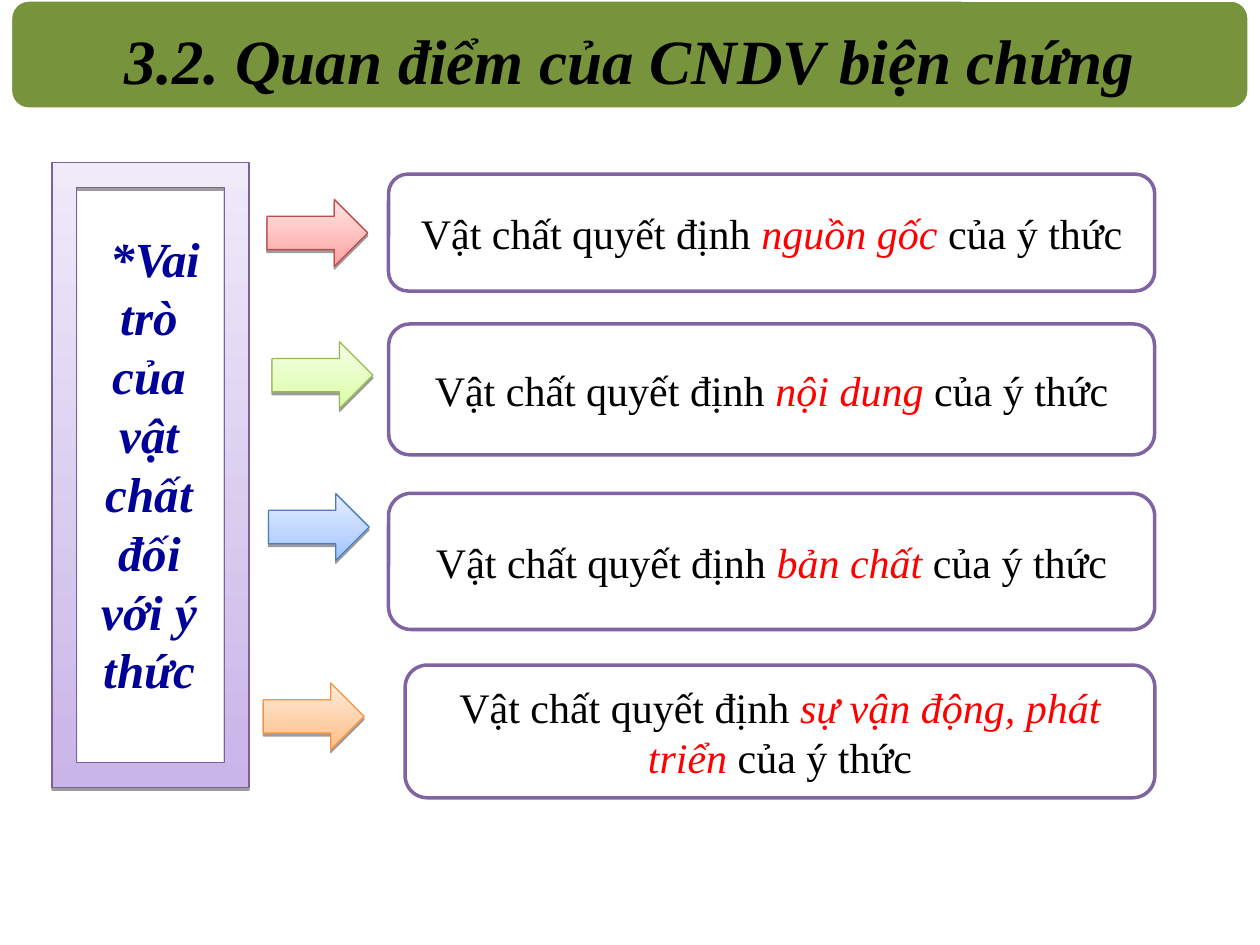
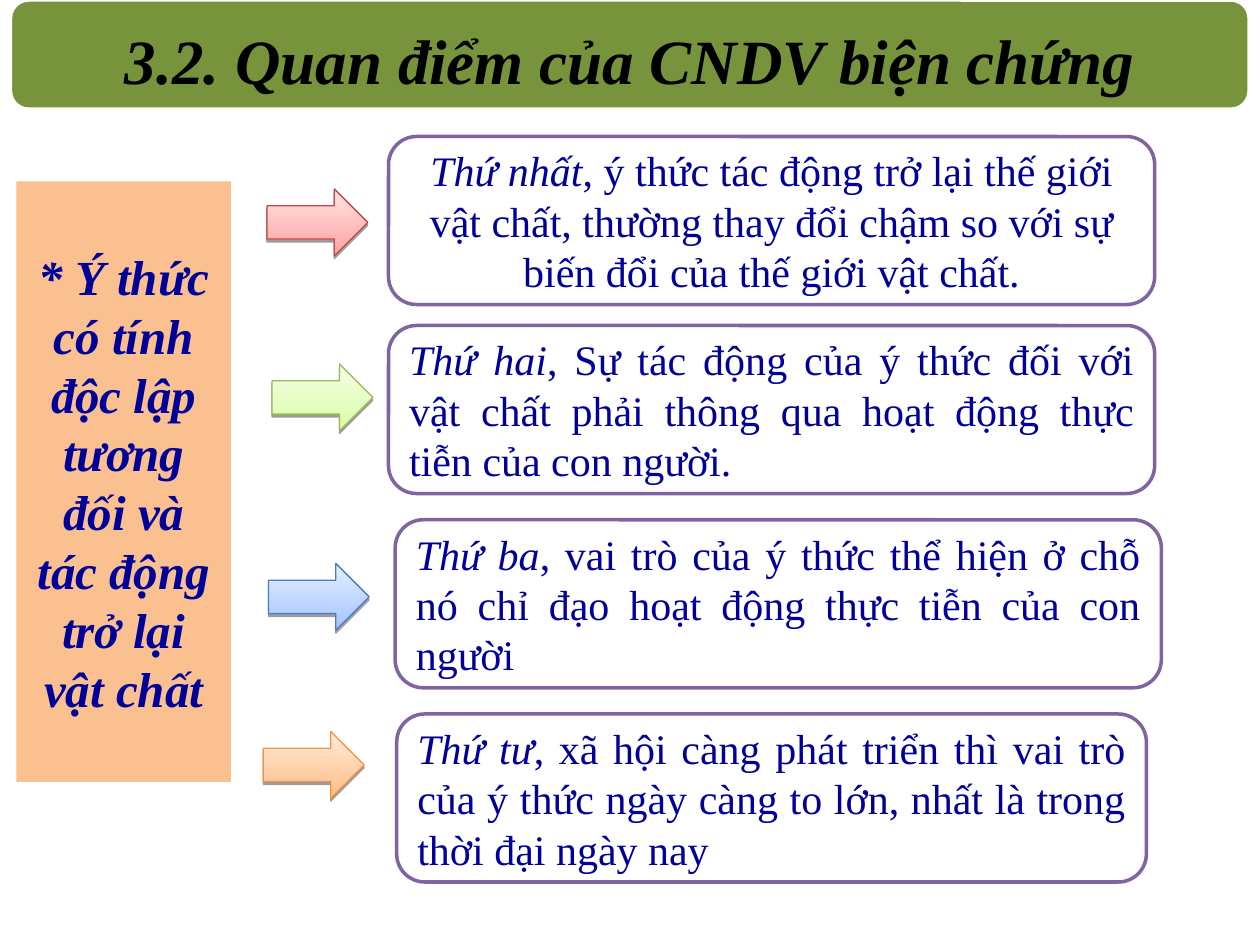
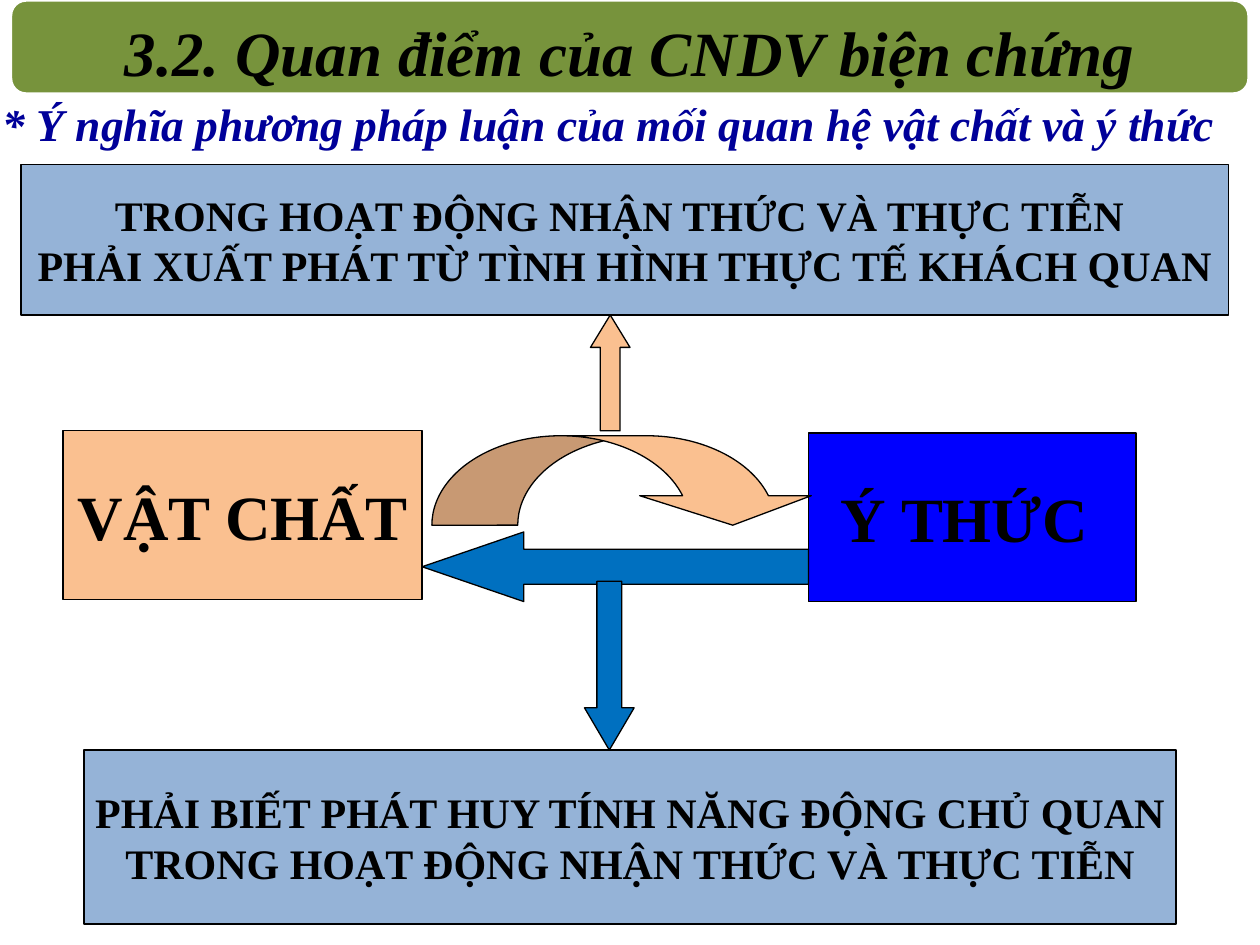
import pptx
import pptx.dml.color
import pptx.enum.shapes
import pptx.enum.text
import pptx.oxml
import pptx.oxml.ns
import pptx.util

Pt = pptx.util.Pt
RGBColor = pptx.dml.color.RGBColor
SHAPE = pptx.enum.shapes.MSO_SHAPE
ALIGN = pptx.enum.text.PP_ALIGN
ANCHOR = pptx.enum.text.MSO_ANCHOR
qn = pptx.oxml.ns.qn

BLACK = RGBColor(0x00, 0x00, 0x00)
WHITE = RGBColor(0xFF, 0xFF, 0xFF)
RED = RGBColor(0xFF, 0x00, 0x00)
NAVY = RGBColor(0x00, 0x00, 0x99)
GREEN = RGBColor(0x77, 0x93, 0x3C)
PURPLE = RGBColor(0x80, 0x64, 0xA2)
PEACH = RGBColor(0xFA, 0xC0, 0x90)
PALE_BLUE = RGBColor(0x95, 0xB3, 0xD7)
BLUE = RGBColor(0x00, 0x70, 0xC0)
PURE_BLUE = RGBColor(0x00, 0x00, 0xFF)
FRAME_LINE = RGBColor(0x7D, 0x60, 0xA0)
FRAME_FILL = (RGBColor(0xC9, 0xB5, 0xE8), RGBColor(0xF0, 0xEA, 0xF9))
# Bottom colour, top colour and outline of each arrow, from the first row down
ARROW_COLOURS = [
    (RGBColor(0xFF, 0xA2, 0xA1), RGBColor(0xFF, 0xE5, 0xE5), RGBColor(0xBE, 0x4B, 0x48)),
    (RGBColor(0xDA, 0xFD, 0xA7), RGBColor(0xF5, 0xFF, 0xE6), RGBColor(0x98, 0xB9, 0x54)),
    (RGBColor(0xA3, 0xC4, 0xFF), RGBColor(0xE5, 0xEE, 0xFF), RGBColor(0x4A, 0x7E, 0xBB)),
    (RGBColor(0xFF, 0xBE, 0x86), RGBColor(0xFF, 0xEB, 0xDB), RGBColor(0xF6, 0x92, 0x40)),
]
ARROW_LEFTS = (2.1, 5, 2.9, 0)
ARROW_SIZE = (57.6, 38.2)

FONT = "Times New Roman"
TITLE = "3.2. Quan điểm của CNDV biện chứng"
TITLE_FORMAT = {"size": Pt(36), "bold": True, "italic": True}
SIDE_FORMAT = {"size": Pt(28), "bold": True, "italic": True, "color": NAVY}
POINT_FORMAT = {"size": Pt(24)}
RULE_FORMAT = {"size": Pt(24), "bold": True}
CONCEPT_FORMAT = {"size": Pt(36), "bold": True}
SUBTITLE_FORMAT = {"size": Pt(26), "bold": True, "italic": True, "color": NAVY}


def set_text(shape, lines, text_format, align=ALIGN.CENTER, anchor=ANCHOR.MIDDLE,
             wrap=True, margins=(7.2, 3.6, 7.2, 3.6)):
    """Write lines, each a list of (text, format changes) runs."""
    frame = shape.text_frame
    frame.word_wrap = wrap
    frame.auto_size = pptx.enum.text.MSO_AUTO_SIZE.NONE
    frame.vertical_anchor = anchor
    for side, margin in zip(("left", "top", "right", "bottom"), margins):
        setattr(frame, f"margin_{side}", Pt(margin))
    for index, runs in enumerate(lines):
        paragraph = frame.paragraphs[0] if index == 0 else frame.add_paragraph()
        paragraph.alignment = align
        for text, changes in runs:
            run = paragraph.add_run()
            run.text = text
            values = {"name": FONT, "color": BLACK, **text_format, **changes}
            run.font.color.rgb = values.pop("color")
            for name, value in values.items():
                setattr(run.font, name, value)


def add_box(slide, kind, box, fill, line=None, line_width=0.75, adjustments=()):
    """Add a preset shape; a pair of fill colours runs from bottom to top."""
    shape = slide.shapes.add_shape(kind, *map(Pt, box))
    shape.shadow.inherit = False
    for index, value in enumerate(adjustments):
        shape.adjustments[index] = value
    if isinstance(fill, RGBColor):
        shape.fill.solid()
        shape.fill.fore_color.rgb = fill
    else:
        shape.fill.gradient()
        shape.fill.gradient_angle = 90
        for stop, colour in zip(shape.fill.gradient_stops, fill):
            stop.color.rgb = colour
    if line is None:
        shape.line.fill.background()
    else:
        shape.line.color.rgb = line
        shape.line.width = Pt(line_width)
    return shape


def add_shadow(shape):
    effects = shape.element.spPr.find(qn("a:effectLst"))
    effects.append(pptx.oxml.parse_xml(
        f'<a:outerShdw {pptx.oxml.ns.nsdecls("a")} blurRad="0" dist="{Pt(1.6)}" '
        'dir="5400000" rotWithShape="0"><a:srgbClr val="000000">'
        '<a:alpha val="38000"/></a:srgbClr></a:outerShdw>'))


def add_title_band(slide, height):
    box = (6, 0, 707.8, height)
    add_box(slide, SHAPE.ROUNDED_RECTANGLE, box, GREEN, WHITE, 2)
    title = slide.shapes.title
    for name, value in zip(("left", "top", "width", "height"), box):
        setattr(title, name, Pt(value))
    set_text(title, [[(TITLE, {})]], TITLE_FORMAT, margins=(17, 5, 17, 0))
    title.text_frame.paragraphs[0].line_spacing = 1.0
    title.element.getparent().append(title.element)  # bring in front of the band


def add_points(slide, left, top, points):
    """Add rows of (arrow top, box, runs, alignment), relative to left and top."""
    for colours, arrow_left, (arrow_top, box, runs, align) in zip(
            ARROW_COLOURS, ARROW_LEFTS, points):
        arrow_box = (left + arrow_left, top + arrow_top, *ARROW_SIZE)
        add_shadow(add_box(slide, SHAPE.RIGHT_ARROW, arrow_box, colours[:2], colours[2]))
        x, y, width, height = box
        card = add_box(slide, SHAPE.ROUNDED_RECTANGLE, (left + x, top + y, width, height),
                       WHITE, PURPLE, 2)
        set_text(card, [runs], POINT_FORMAT, align)


def add_side_frame(slide, box, text):
    left, top, width, _ = box
    add_shadow(add_box(slide, SHAPE.FRAME, box, FRAME_FILL, FRAME_LINE, adjustments=[0.125]))
    label = slide.shapes.add_textbox(Pt(left + 10.8), Pt(top + 33.8), Pt(width - 22.8), Pt(276.5))
    set_text(label, [[(text, {})]], SIDE_FORMAT, anchor=ANCHOR.TOP)


def build_matter_slide(slide):
    add_title_band(slide, 62.4)
    add_side_frame(slide, (29.7, 93, 112.6, 357), " *Vai trò của vật chất đối với ý thức")
    rows = [
        (14.5, (71.5, 0, 437.8, 66.8), "nguồn gốc"),
        (95.8, (71.5, 85.6, 437.8, 74.9), "nội dung"),
        (182.6, (71.5, 182.4, 437.8, 77.8), "bản chất"),
        (290.8, (81, 280.6, 428.4, 75.8), "sự vận động, phát triển"),
    ]
    add_points(slide, 150.5, 99.5, [
        (arrow_top, box, [("Vật chất quyết định ", {}),
                          (aspect, {"color": RED, "italic": True}),
                          (" của ý thức", {})], ALIGN.CENTER)
        for arrow_top, box, aspect in rows])


def build_consciousness_slide(slide):
    add_title_band(slide, 62.4)
    panel = add_box(slide, SHAPE.RECTANGLE, (9.4, 103.6, 122.6, 343.2), PEACH)
    set_text(panel, [[("* Ý thức có tính độc lập tương đối và tác động trở lại vật chất", {})]],
             SIDE_FORMAT, anchor=ANCHOR.TOP, margins=(7.2, 37.2, 7.2, 3.6))
    rows = [
        (24, (71.5, -6, 437.8, 96), "Thứ nhất",
         ", ý thức tác động trở lại thế giới vật chất, thường thay đổi chậm so với sự "
         "biến đổi của thế giới vật chất.", ALIGN.CENTER),
        (124, (71.5, 102, 437.8, 96), "Thứ hai",
         ", Sự tác động của ý thức đối với vật chất phải thông qua hoạt động thực tiễn "
         "của con người.", ALIGN.JUSTIFY),
        (238, (75.3, 213, 437.8, 96), "Thứ ba",
         ", vai trò của ý thức thể hiện ở chỗ nó chỉ đạo hoạt động thực tiễn của con người",
         ALIGN.JUSTIFY),
        (334, (76.2, 324, 428.4, 96), "Thứ tư",
         ", xã hội càng phát triển thì vai trò của ý thức ngày càng to lớn, nhất là trong "
         "thời đại ngày nay", ALIGN.JUSTIFY),
    ]
    add_points(slide, 150.5, 84, [
        (arrow_top, box, [(order, {"color": NAVY, "italic": True}), (text, {"color": NAVY})], align)
        for arrow_top, box, order, text, align in rows])


def add_relation(slide, left, top):
    """Draw the two concepts, the arrows between them and those to the rules."""
    labelled = [
        ((24, 152, 205.2, 96.5), PEACH, CONCEPT_FORMAT, ["VẬT CHẤT"]),
        ((450, 153.2, 187.2, 96.5), PURE_BLUE, CONCEPT_FORMAT, ["Ý THỨC "]),
        ((0, 0, 690, 85.8), PALE_BLUE, RULE_FORMAT,
         ["TRONG HOẠT ĐỘNG NHẬN THỨC VÀ THỰC TIỄN ",
          "PHẢI XUẤT PHÁT TỪ TÌNH HÌNH THỰC TẾ KHÁCH QUAN"]),
        ((36, 334.4, 624, 99.4), PALE_BLUE, RULE_FORMAT,
         ["PHẢI BIẾT PHÁT HUY TÍNH NĂNG ĐỘNG CHỦ QUAN",
          "TRONG HOẠT ĐỘNG NHẬN THỨC VÀ THỰC TIỄN"]),
    ]
    for (x, y, width, height), fill, text_format, lines in labelled:
        box = add_box(slide, SHAPE.RECTANGLE, (left + x, top + y, width, height), fill, BLACK)
        set_text(box, [[(line, {})] for line in lines], text_format, wrap=False)
    arrows = [
        (SHAPE.CURVED_DOWN_ARROW, (234.8, 154.8, 221, 51.1), PEACH, (0.96, 1.92, 0.33)),
        (SHAPE.LEFT_ARROW, (229.2, 209.8, 220.8, 39.8), BLUE, (0.5, 1.46)),
        (SHAPE.UP_ARROW, (325.4, 85.8, 22.6, 66.2), PEACH, (0.5, 0.82)),
        (SHAPE.DOWN_ARROW, (322, 238, 28.4, 96.4), BLUE, (0.5, 0.85)),
    ]
    for kind, (x, y, width, height), fill, adjustments in arrows:
        add_box(slide, kind, (left + x, top + y, width, height), fill, BLACK,
                adjustments=adjustments)


def build_method_slide(slide):
    add_relation(slide, 12, 94.2)
    subtitle = slide.shapes.add_textbox(Pt(0), Pt(51.4), Pt(720), Pt(38.9))
    set_text(subtitle, [[("* Ý nghĩa phương pháp luận của mối quan hệ vật chất và ý thức", {})]],
             SUBTITLE_FORMAT, ALIGN.LEFT, ANCHOR.TOP, margins=(1.4, 3.6, 0, 3.6))
    add_title_band(slide, 53.8)


def main():
    presentation = pptx.Presentation()
    presentation.slide_width = Pt(720)
    presentation.slide_height = Pt(540)
    title_only = presentation.slide_layouts[5]
    for build in (build_matter_slide, build_consciousness_slide, build_method_slide):
        build(presentation.slides.add_slide(title_only))
    presentation.save("out.pptx")


if __name__ == "__main__":
    main()
